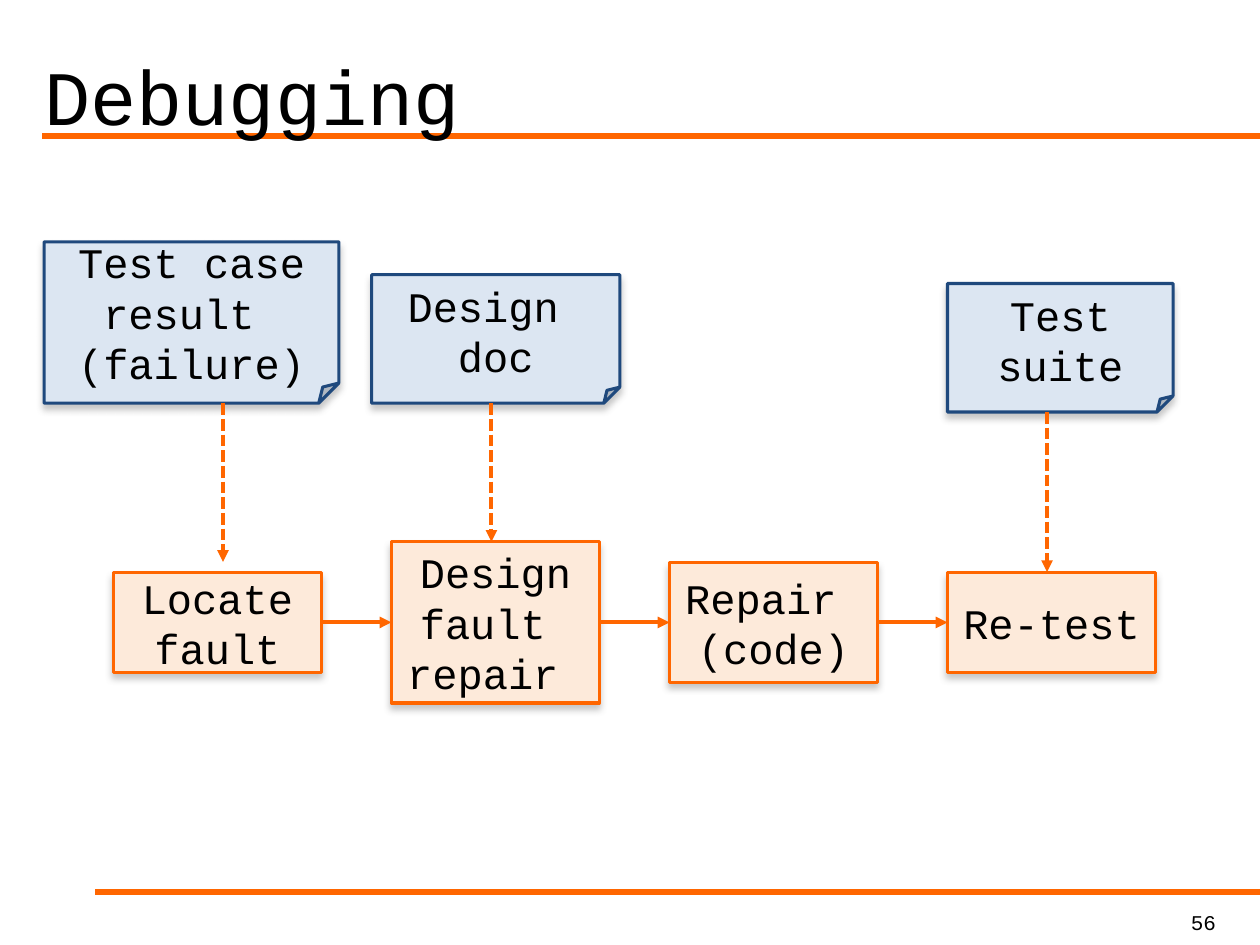
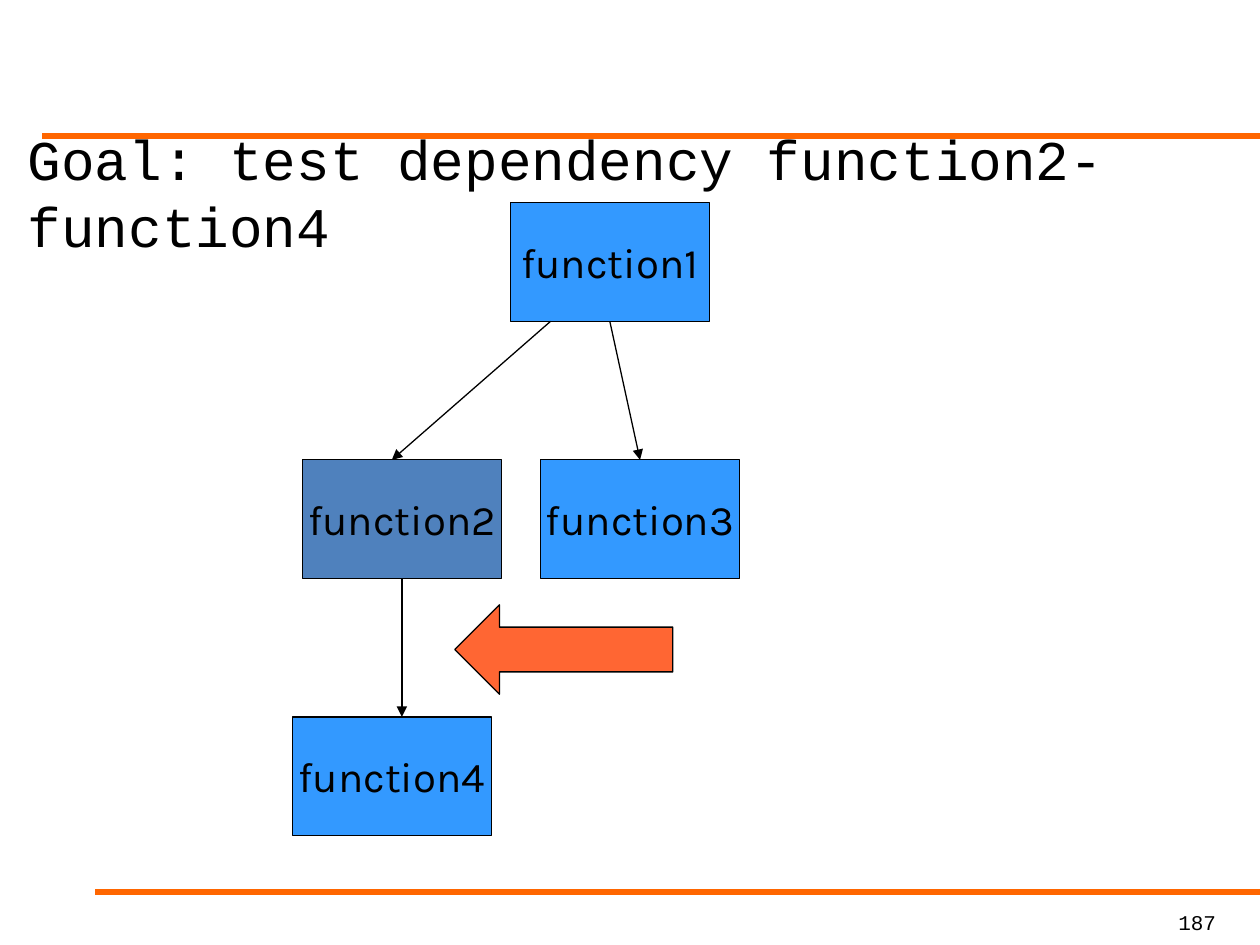
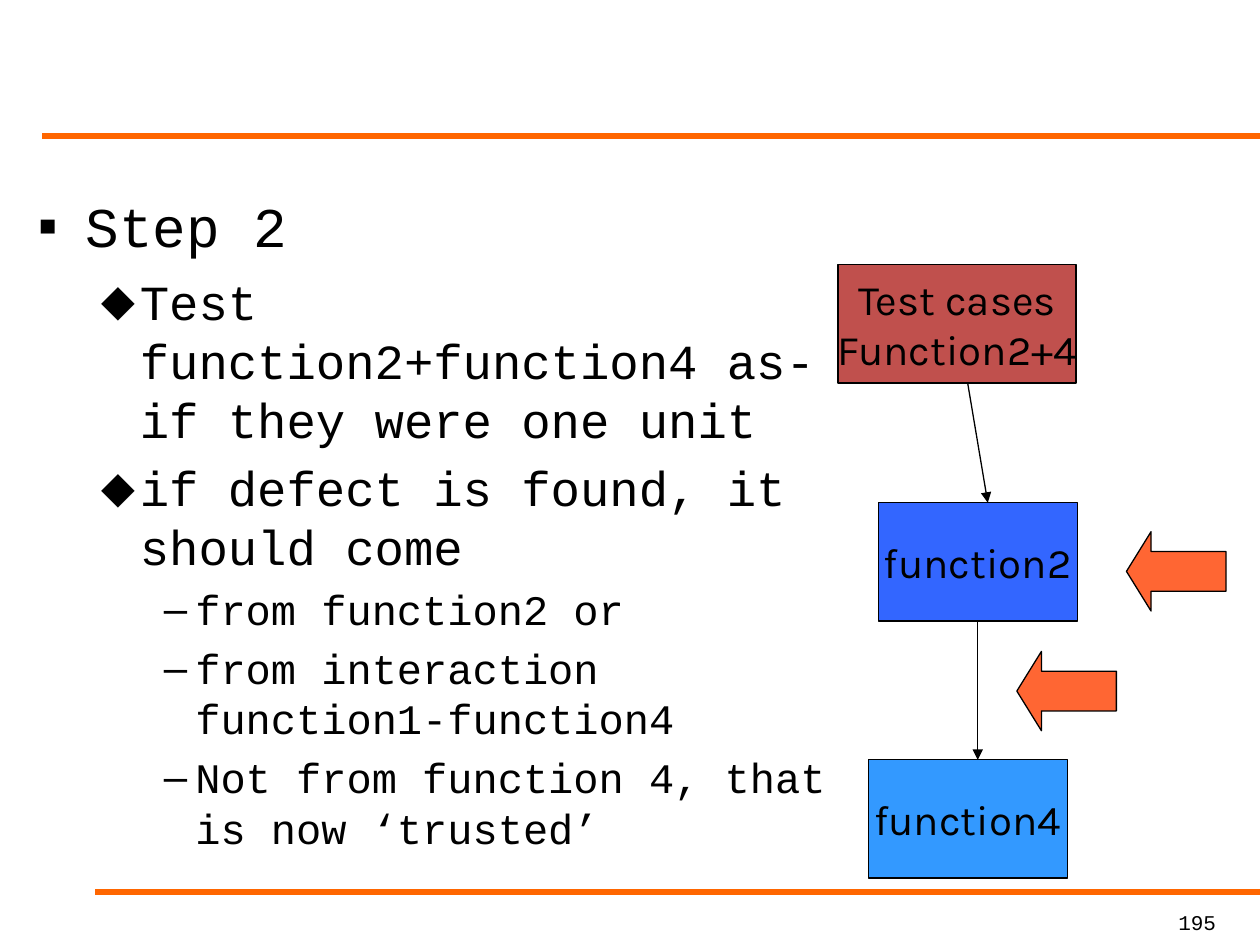
from dataclasses import dataclass

from lxml import etree
from pptx import Presentation
from pptx.dml.color import RGBColor
from pptx.enum.dml import MSO_LINE
from pptx.enum.shapes import MSO_CONNECTOR, MSO_SHAPE
from pptx.enum.text import MSO_ANCHOR, MSO_AUTO_SIZE, PP_ALIGN
from pptx.oxml.ns import qn
from pptx.util import Inches, Pt

RECTANGLE = MSO_SHAPE.RECTANGLE
FOLDED_CORNER = MSO_SHAPE.FOLDED_CORNER
LEFT_ARROW = MSO_SHAPE.LEFT_ARROW
STRAIGHT = MSO_CONNECTOR.STRAIGHT
SHORT_DASH = MSO_LINE.SQUARE_DOT
TOP, LEFT, BOTTOM, RIGHT = range(4)


@dataclass(frozen=True)
class Theme:
    ink: str = "000000"
    accent: str = "FF6600"
    step_fill: str = "FDEADA"
    document_fill: str = "DCE6F2"
    document_line: str = "1F497D"
    function_fill: str = "3399FF"
    caller_fill: str = "4F81BD"
    tested_fill: str = "3366FF"
    test_fill: str = "C0504D"
    pointer_fill: str = "FF6633"
    shadow: str = "808080"
    text_font: str = "Courier New"
    diagram_font: str = "Karla"
    title_size: int = 44
    body_sizes: tuple = (32, 28, 24)
    box_size: int = 24
    number_size: int = 12
    rule_width: float = 3
    flow_width: float = 2.25
    box_width: float = 1.75
    thin_width: float = 0.75


theme = Theme()


def add_box(slide, kind, frame, fill, lines=(), in_flow=False, outline=theme.ink):
    """Add a filled shape; in_flow gives the debugging flow's font, wrap and shadow."""
    shape = slide.shapes.add_shape(kind, *map(Inches, frame))
    shape.fill.solid()
    shape.fill.fore_color.rgb = RGBColor.from_string(fill)
    shape.line.color.rgb = RGBColor.from_string(outline)
    shape.line.width = Pt(theme.box_width if in_flow else theme.thin_width)
    shape.shadow.inherit = False
    if in_flow:
        effects = shape.element.spPr.find(qn("a:effectLst"))
        shadow = etree.SubElement(effects, qn("a:outerShdw"), blurRad=str(Pt(4)),
                                  dist=str(Pt(3)), dir="5400000", rotWithShape="0")
        color = etree.SubElement(shadow, qn("a:srgbClr"), val=theme.shadow)
        etree.SubElement(color, qn("a:alpha"), val="43000")
    if lines:
        text_frame = shape.text_frame
        text_frame.text = "\n".join(lines)
        text_frame.word_wrap = in_flow
        text_frame.vertical_anchor = MSO_ANCHOR.MIDDLE
        for paragraph in text_frame.paragraphs:
            paragraph.alignment = PP_ALIGN.CENTER
            font = paragraph.runs[0].font
            font.name = theme.text_font if in_flow else theme.diagram_font
            font.size = Pt(theme.box_size)
            font.color.rgb = RGBColor.from_string(theme.ink)
    return shape


def add_line(slide, start, end, color=theme.ink, width=theme.thin_width,
             dashed=False, arrow=True):
    """Join two ends, each a point in inches or a (shape, side) pair."""
    ends = [(0, 0) if hasattr(place[0], "shape_id") else place for place in (start, end)]
    connector = slide.shapes.add_connector(
        STRAIGHT, *[Inches(value) for point in ends for value in point])
    for place, connect in ((start, connector.begin_connect), (end, connector.end_connect)):
        if hasattr(place[0], "shape_id"):
            connect(*place)
    connector.line.color.rgb = RGBColor.from_string(color)
    connector.line.width = Pt(width)
    if dashed:
        connector.line.dash_style = SHORT_DASH
    properties = connector.element.spPr
    if arrow:
        etree.SubElement(properties.find(qn("a:ln")), qn("a:tailEnd"), type="triangle")
    etree.SubElement(properties, qn("a:effectLst"))
    return connector


presentation = Presentation()
presentation.slide_width, presentation.slide_height = Inches(10), Inches(7.5)
content_layout, title_layout = (presentation.slide_layouts[index] for index in (1, 5))

# Slides with their page numbers
slides = []
for layout, number in ((title_layout, "56"), (content_layout, "187"), (content_layout, "195")):
    slide = presentation.slides.add_slide(layout)
    number_box = slide.shapes.add_textbox(*map(Inches, (8.25, 7.17, 1.5, 0.33)))
    number_box.text_frame.word_wrap = True
    number_box.text_frame.text = number
    paragraph = number_box.text_frame.paragraphs[0]
    paragraph.alignment = PP_ALIGN.RIGHT
    paragraph.runs[0].font.name = theme.text_font
    paragraph.runs[0].font.size = Pt(theme.number_size)
    slides.append(slide)
debugging, goal, step_two = slides

# Header and footer rules, kept on the master
master_tree = presentation.slide_master.shapes.element
for rule_left, rule_top in ((0.33, 1.08), (0.75, 7.08)):
    rule = add_line(debugging, (10, rule_top), (rule_left, rule_top),
                    theme.accent, theme.rule_width, arrow=False)
    master_tree.append(rule.element)

# Title and lists
title = debugging.shapes.title
title.left, title.top, title.width, title.height = map(Inches, (0.25, 0.17, 9.42, 1))
title.text_frame.text = "Debugging"
title.text_frame.vertical_anchor = MSO_ANCHOR.BOTTOM
title.text_frame.auto_size = MSO_AUTO_SIZE.NONE
title_paragraph = title.text_frame.paragraphs[0]
title_paragraph.alignment = PP_ALIGN.LEFT
title_paragraph.runs[0].font.name = theme.text_font
title_paragraph.runs[0].font.size = Pt(theme.title_size)

bullets = (("▪", 0.38, 0.38), ("⬥", 0.81, 0.31), ("–", 1.25, 0.25))
goal_items = ((0, "Goal: test dependency function2-function4"),)
step_items = (
    (0, "Step 2"),
    (1, "Test function2+function4 as-if they were one unit"),
    (1, "if defect is found, it should come"),
    (2, "from function2 or"),
    (2, "from interaction function1-function4"),
    (2, "Not from function 4, that is now ‘trusted’"),
)
for slide, frame, items, bulleted in (
    (goal, (0.12, 0.94, 9, 5.25), goal_items, False),
    (step_two, (0.2, 1.47, 6.54, 5.25), step_items, True),
):
    empty_title = slide.shapes.title.element
    empty_title.getparent().remove(empty_title)
    body = slide.placeholders[1]
    body.left, body.top, body.width, body.height = map(Inches, frame)
    body.text_frame.text = "\n".join(text for level, text in items)
    body.text_frame.auto_size = MSO_AUTO_SIZE.NONE
    for paragraph, (level, text) in zip(body.text_frame.paragraphs, items):
        paragraph.level = level
        size = theme.body_sizes[level]
        paragraph.runs[0].font.name = theme.text_font
        paragraph.runs[0].font.size = Pt(size)
        if level == 0:
            paragraph.space_after = Pt(0.05 * size)
        character, margin, hanging = bullets[level] if bulleted else ("", 0, 0)
        properties = paragraph._p.get_or_add_pPr()
        properties.set("marL", str(Inches(margin)))
        properties.set("indent", str(-Inches(hanging)))
        if bulleted:
            bullet_color = etree.SubElement(properties, qn("a:buClr"))
            etree.SubElement(bullet_color, qn("a:srgbClr"), val=theme.ink)
            etree.SubElement(properties, qn("a:buChar"), char=character)
        else:
            etree.SubElement(properties, qn("a:buNone"))

# Debugging: a row of steps on one centre line, fed by documents
step_left, step_pitch, step_width, step_middle = 0.9, 6.62 / 3, 1.65, 4.94
steps = []
for column, (height, lines) in enumerate((
    (0.79, ["Locate fault"]),
    (1.28, ["Design fault ", "repair "]),
    (0.95, ["Repair ", "(code)"]),
    (0.79, ["Re-test"]),
)):
    frame = (step_left + column * step_pitch, step_middle - height / 2, step_width, height)
    steps.append(add_box(debugging, RECTANGLE, frame, theme.step_fill, lines,
                         in_flow=True, outline=theme.accent))
for step, next_step in zip(steps, steps[1:]):
    add_line(debugging, (step, RIGHT), (next_step, LEFT), theme.accent, theme.flow_width)

for frame, lines, arrow_x, arrow_end in (
    ((0.35, 1.92, 2.34, 1.28), ["Test case result ", "(failure)"], 1.77, 4.46),
    ((2.95, 2.18, 1.97, 1.02), ["Design ", "doc"], 3.9, 4.3),
    ((7.52, 2.25, 1.79, 1.02), ["Test suite"], 8.31, 4.54),
):
    document = add_box(debugging, FOLDED_CORNER, frame, theme.document_fill, lines,
                       in_flow=True, outline=theme.document_line)
    fold = next(document.element.spPr.iter(qn("a:avLst")))
    etree.SubElement(fold, qn("a:gd"), name="adj", fmla="val 12500")
    add_line(debugging, (arrow_x, frame[1] + frame[3]), (arrow_x, arrow_end),
             theme.accent, theme.flow_width, dashed=True)

# Goal: the call tree, on rows of equal pitch
function_width, function_height, row_pitch = 1.58, 0.94, 2.04
tree_top = 1.61
tree = {}
for name, left, row, fill in (
    ("function1", 4.05, 0, theme.function_fill),
    ("function2", 2.4, 1, theme.caller_fill),
    ("function3", 4.29, 1, theme.function_fill),
    ("function4", 2.32, 2, theme.function_fill),
):
    frame = (left, tree_top + row * row_pitch, function_width, function_height)
    tree[name] = add_box(goal, RECTANGLE, frame, fill, [name])
add_line(goal, (4.37, tree_top + function_height), (3.11, tree_top + row_pitch))
add_line(goal, (tree["function1"], BOTTOM), (tree["function3"], TOP))
add_line(goal, (tree["function2"], BOTTOM), (3.19, tree_top + 2 * row_pitch))

# Step 2: test cases above the two functions
chain_top = 3.99
add_box(step_two, RECTANGLE, (6.65, 2.1, 1.89, function_height), theme.test_fill,
        ["Test cases", "Function2+4"])
tested = add_box(step_two, RECTANGLE, (6.97, chain_top, function_width, function_height),
                 theme.tested_fill, ["function2"])
add_box(step_two, RECTANGLE, (6.89, chain_top + row_pitch, function_width, function_height),
        theme.function_fill, ["function4"])
add_line(step_two, (7.68, 2.1 + function_height), (7.84, chain_top))
add_line(step_two, (tested, BOTTOM), (7.76, chain_top + row_pitch))

# Block arrows that point at what is under test
for slide, frame, head_length in (
    (goal, (3.61, 4.8, 1.73, 0.71), 0.5),
    (step_two, (8.94, 4.22, 0.79, 0.63), 0.31),
    (step_two, (8.07, 5.17, 0.79, 0.63), 0.31),
):
    pointer = add_box(slide, LEFT_ARROW, frame, theme.pointer_fill)
    pointer.adjustments[1] = head_length

presentation.save("out.pptx")
